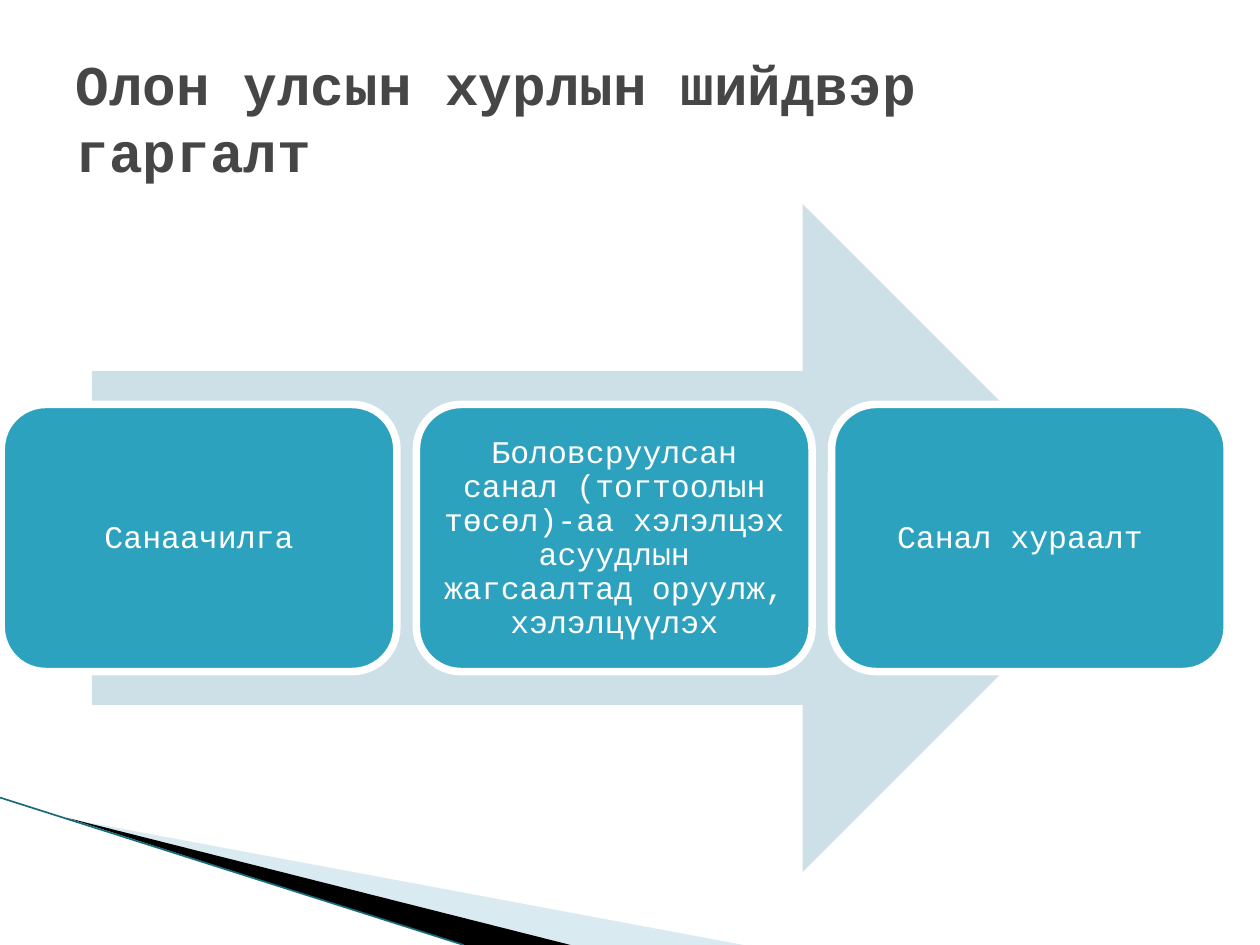
from lxml import etree
from pptx import Presentation
from pptx.dml.color import RGBColor
from pptx.enum.shapes import MSO_CONNECTOR, MSO_SHAPE
from pptx.enum.text import MSO_ANCHOR, PP_ALIGN
from pptx.oxml.ns import qn
from pptx.util import Inches, Pt

ARROW = MSO_SHAPE.RIGHT_ARROW
ROUND = MSO_SHAPE.ROUNDED_RECTANGLE
LINE = MSO_CONNECTOR.STRAIGHT
MIDDLE = MSO_ANCHOR.MIDDLE
LEFT, CENTER = PP_ALIGN.LEFT, PP_ALIGN.CENTER

WHITE = RGBColor(0xFF, 0xFF, 0xFF)
BLACK = RGBColor(0x00, 0x00, 0x00)
GREY = RGBColor(0x46, 0x46, 0x46)
TEAL = RGBColor(0x2D, 0xA2, 0xBF)
DARK = RGBColor(0x16, 0x6B, 0x80)
PALE = RGBColor(0xCD, 0xE0, 0xE8)
MIST = RGBColor(0xA0, 0xCB, 0xDC)

FONT = "Courier New"
FIRST, TOP, STEP = 0.01, 3.21, 3.295
WIDE, HIGH = 3.14, 2.12
STEPS = (
    "Санаачилга",
    "Боловсруулсан санал (тогтоолын төсөл)-аа хэлэлцэх асуудлын "
    "жагсаалтад оруулж, хэлэлцүүлэх",
    "Санал хураалт ",
)


def paint(shape, fill):
    """Give a shape a flat fill with no line or shadow."""
    shape.shadow.inherit = False
    shape.fill.solid()
    shape.fill.fore_color.rgb = fill
    shape.line.fill.background()


def write(frame, text, size, color, align, bold=False):
    """Put one formatted run into a text frame."""
    frame.word_wrap = True
    frame.vertical_anchor = MIDDLE
    para = frame.paragraphs[0]
    para.alignment = align
    run = para.add_run()
    run.text = text
    font = run.font
    font.name, font.size, font.bold = FONT, Pt(size), bold
    font.color.rgb = color
    return para


def add_wedge(slide, points, fill, alpha=None):
    """Draw a closed corner wedge, see-through if alpha is given."""
    spots = [(Inches(x), Inches(y)) for x, y in points]
    pen = slide.shapes.build_freeform(*spots[0])
    pen.add_line_segments(spots[1:], close=True)
    wedge = pen.convert_to_shape()
    paint(wedge, fill)
    if alpha:
        tint = wedge._element.spPr.find(qn("a:solidFill"))[0]
        etree.SubElement(tint, qn("a:alpha")).set("val", str(alpha * 1000))


def add_edge(slide, start, end):
    """Draw the thin line along the corner wedges."""
    edge = slide.shapes.add_connector(LINE, *map(Inches, start + end))
    edge.line.color.rgb = DARK
    edge.line.width = Pt(0.95)
    etree.SubElement(edge._element.spPr, qn("a:effectLst"))


def add_step(slide, col, text):
    """Draw one step of the process in its column."""
    place = map(Inches, (FIRST + col * STEP, TOP, WIDE, HIGH))
    box = slide.shapes.add_shape(ROUND, *place)
    paint(box, TEAL)
    box.line.color.rgb = WHITE
    box.line.width = Pt(4.33)
    frame = box.text_frame
    frame.margin_left = frame.margin_right = Inches(0.07)
    frame.margin_top = frame.margin_bottom = Inches(0.07)
    write(frame, text, 18, WHITE, CENTER).line_spacing = 0.9


def add_title(slide, text):
    """Place and fill the title."""
    title = slide.shapes.title
    title.left, title.top = Inches(0.5), Inches(0.3)
    title.width, title.height = Inches(9), Inches(1.25)
    write(title.text_frame, text, 32, GREY, LEFT, True)


def main():
    """Build the slide and save it."""
    deck = Presentation()
    deck.slide_width, deck.slide_height = Inches(10), Inches(7.5)
    slide = deck.slides.add_slide(deck.slide_layouts[5])
    add_title(slide, "Олон улсын хурлын шийдвэр гаргалт")
    add_wedge(slide, [(0.55, 6.5), (5.9, 7.5), (4.53, 7.5)], MIST, 40)
    add_wedge(slide, [(0.53, 6.49), (4.53, 7.5), (3.68, 7.5)], BLACK)
    add_edge(slide, (0, 6.33), (3.68, 7.5))
    arrow = slide.shapes.add_shape(
        ARROW, *map(Inches, (0.73, 1.62, 8.29, 5.3)))
    paint(arrow, PALE)
    for col, text in enumerate(STEPS):
        add_step(slide, col, text)
    deck.save("out.pptx")


if __name__ == "__main__":
    main()
